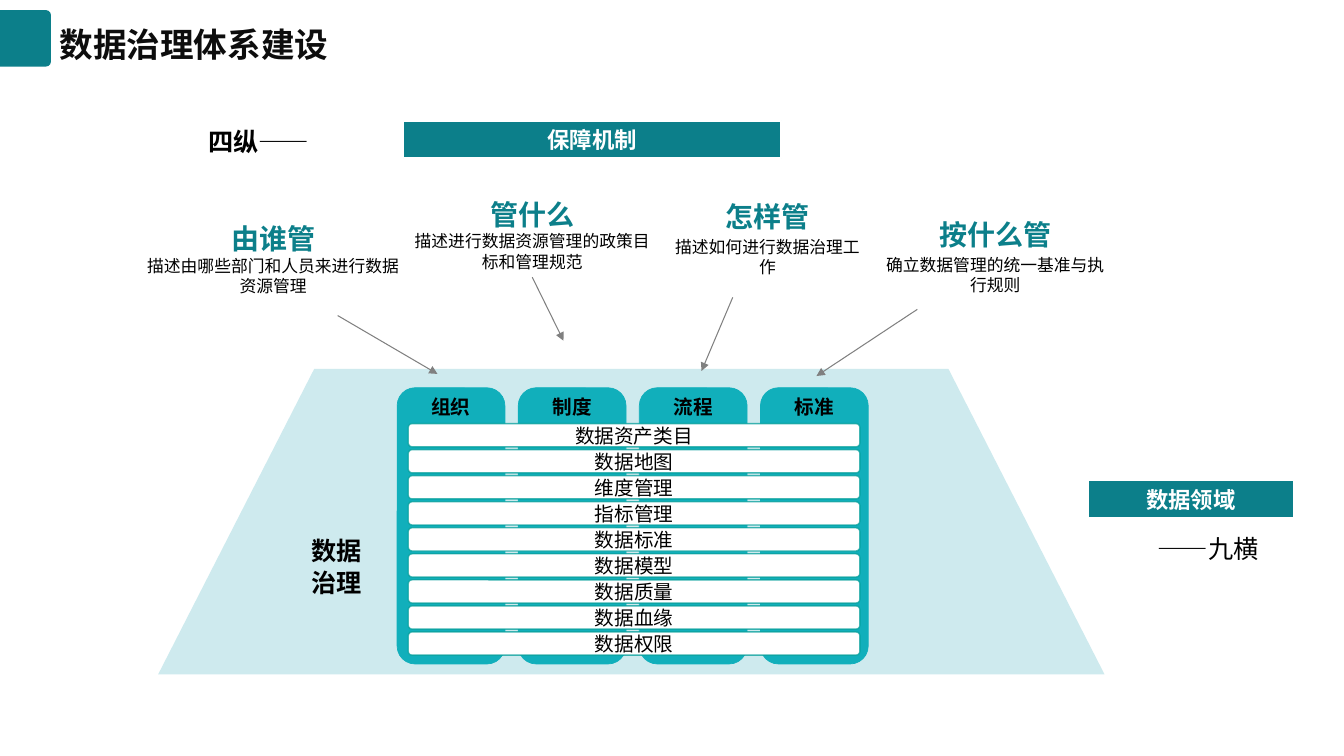
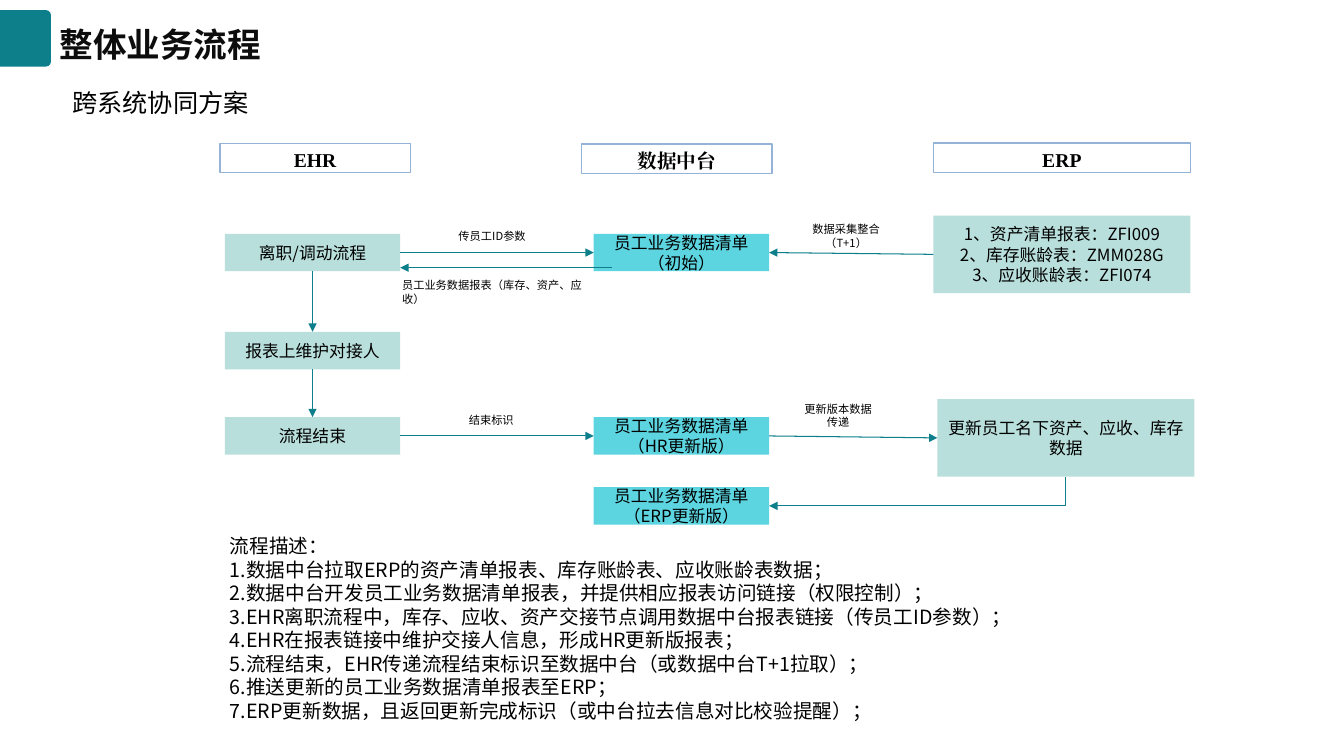
from dataclasses import dataclass
from typing import NamedTuple, Optional

from lxml import etree
from pptx import Presentation
from pptx.dml.color import RGBColor
from pptx.enum import shapes, text
from pptx.oxml.ns import qn
from pptx.util import Pt

TEAL = RGBColor(0x0C, 0x7F, 0x8A)
AQUA = RGBColor(0x11, 0xAF, 0xBB)
CYAN = RGBColor(0x5C, 0xD5, 0xE0)
MINT = RGBColor(0xB8, 0xDF, 0xDB)
PALE = RGBColor(0xCE, 0xEA, 0xEE)
GREEN = RGBColor(0x02, 0x9E, 0x9A)
BLUE = RGBColor(0x95, 0xB3, 0xD7)
GREY = RGBColor(0x80, 0x80, 0x80)
INK = RGBColor(0x0D, 0x0D, 0x0D)
BLACK = RGBColor(0, 0, 0)
WHITE = RGBColor(255, 255, 255)

SANS = "Noto Sans CJK SC"
SERIF = "Times New Roman"
KIND = shapes.MSO_SHAPE
LEFT, MID = text.PP_ALIGN.LEFT, text.PP_ALIGN.CENTER
TOP, CENTRE = text.MSO_ANCHOR.TOP, text.MSO_ANCHOR.MIDDLE
EDGE = (7.2, 3.6, 7.2, 3.6)


class Run(NamedTuple):
    words: str
    size: float
    bold: bool = False
    color: RGBColor = BLACK
    font: str = SANS


class Para(NamedTuple):
    runs: tuple
    align: int = MID
    lead: object = None
    before: float = 0


@dataclass
class Box:
    x: float
    y: float
    w: float
    h: float
    paras: tuple = ()
    kind: Optional[int] = None
    fill: Optional[RGBColor] = None
    line: Optional[RGBColor] = None
    weight: float = 1
    anchor: int = TOP
    edge: tuple = EDGE
    wrap: bool = True
    adj: Optional[float] = None


def add_run(para, run: Run) -> None:
    item = para.add_run()
    item.text = run.words
    font = item.font
    font.size, font.bold, font.name = Pt(run.size), run.bold, run.font
    font.color.rgb = run.color
    etree.SubElement(item.font._element, qn("a:ea"), typeface=run.font)


def write(frame, paras: tuple) -> None:
    for i, part in enumerate(paras):
        para = frame.add_paragraph() if i else frame.paragraphs[0]
        para.alignment = part.align
        para.space_before = Pt(part.before)
        if part.lead:
            para.line_spacing = part.lead
        for run in part.runs:
            add_run(para, run)


def draw(slide, box: Box):
    place = [Pt(v) for v in (box.x, box.y, box.w, box.h)]
    if box.kind is None:
        shape = slide.shapes.add_textbox(*place)
    else:
        shape = slide.shapes.add_shape(box.kind, *place)
        shape.shadow.inherit = False
        if box.adj is not None:
            shape.adjustments[0] = box.adj
        if box.fill is None:
            shape.fill.background()
        else:
            shape.fill.solid()
            shape.fill.fore_color.rgb = box.fill
        if box.line is None:
            shape.line.fill.background()
        else:
            shape.line.color.rgb = box.line
            shape.line.width = Pt(box.weight)
    frame = shape.text_frame
    frame.word_wrap = box.wrap
    frame.vertical_anchor = box.anchor
    (frame.margin_left, frame.margin_top,
     frame.margin_right, frame.margin_bottom) = [Pt(v) for v in box.edge]
    write(frame, box.paras)
    return shape


def link(slide, ends: tuple, color: RGBColor, start=None, stop=None,
         bent: bool = False, tip: str = "tailEnd"):
    """Draw an arrow; start and stop are (shape, side) pairs to join."""
    kind = shapes.MSO_CONNECTOR.ELBOW if bent else shapes.MSO_CONNECTOR.STRAIGHT
    wire = slide.shapes.add_connector(kind, *[Pt(v) for v in ends])
    wire.line.color.rgb = color
    wire.line.width = Pt(0.75)
    if start:
        wire.begin_connect(*start)
    if stop:
        wire.end_connect(*stop)
    props = wire.element.spPr
    if bent:
        props.find(qn("a:prstGeom")).set("prst", "bentConnector2")
    etree.SubElement(props.find(qn("a:ln")), qn("a:" + tip), type="triangle")
    etree.SubElement(props, qn("a:effectLst"))
    return wire


def join(slide, a, i: int, b, j: int) -> None:
    link(slide, (0, 0, 10, 10), TEAL, (a, i), (b, j))


def one(words: str, size: float, bold: bool = False, color: RGBColor = BLACK,
        font: str = SANS, align: int = MID, lead=None) -> tuple:
    return (Para((Run(words, size, bold, color, font),), align, lead),)


def set_master(deck, slide) -> None:
    """Place the title and the corner tab on the master."""
    master = deck.slide_master
    title = master.placeholders.get(shapes.PP_PLACEHOLDER.TITLE)
    title.left, title.top, title.width, title.height = (
        Pt(42.5), Pt(7.2), Pt(836.6), Pt(40.3))
    frame = title.text_frame
    frame.auto_size = text.MSO_AUTO_SIZE.NONE
    frame.vertical_anchor = CENTRE
    frame.margin_left = frame.margin_right = Pt(0)
    frame.margin_top = frame.margin_bottom = Pt(0)
    tab = draw(slide, Box(-2, 9.2, 40.4, 36.4, kind=KIND.ROUND_2_SAME_RECTANGLE,
                          fill=TEAL, adj=0.1))
    tab.rotation = 90
    tab.element.nvSpPr.cNvPr.set("id", "20")
    master.shapes.element.insert(2, tab.element)


def head(slide, words: str) -> None:
    write(slide.shapes.title.text_frame,
          one(words, 24, True, INK, align=LEFT, lead=1.3))


def build_system(slide) -> None:
    head(slide, "数据治理体系建设")
    for words, x, y, w in (("保障机制", 288, 86.4, 270),
                           ("数据领域", 777.6, 343.4, 146.2)):
        draw(slide, Box(x, y, w, 26.6, one(words, 16, True, WHITE),
                        KIND.RECTANGLE, TEAL, WHITE))

    for name, note, x, y, w, gap in (
            ("由谁管", "描述由哪些部门和人员来进行数据资源管理", 95, 154.8, 200.2, 0),
            ("管什么", "描述进行数据资源管理的政策目标和管理规范", 283.7, 137.5, 193, 0),
            ("怎样管", "描述如何进行数据治理工作", 469.4, 139, 157.7, 2.4),
            ("按什么管", "确立数据管理的统一基准与执行规则", 620.6, 151.9, 180.7, 2.4)):
        paras = (Para((Run(name, 20, True, TEAL),)),
                 Para((Run(note, 12),), before=gap))
        draw(slide, Box(x, y, w, 62, paras))

    draw(slide, Box(113, 263.5, 676, 218.2, kind=KIND.TRAPEZOID, fill=PALE,
                    adj=0.511))
    for i, name in enumerate(("组织", "制度", "流程", "标准")):
        draw(slide, Box(283.7 + 86.5 * i, 277, 77, 197.3,
                        one(name, 14, True, lead=Pt(15)),
                        KIND.ROUNDED_RECTANGLE, AQUA, AQUA, 0.5,
                        edge=(3.6, 2.9, 3.6, 3.6)))
    for i, name in enumerate(("数据资产类目", "数据地图", "维度管理", "指标管理",
                              "数据标准", "数据模型", "数据质量", "数据血缘",
                              "数据权限")):
        bar = draw(slide, Box(291.6, 302.6 + 18.6 * i, 322.6, 16.6, one(name, 14),
                              KIND.ROUNDED_RECTANGLE, WHITE, GREEN,
                              anchor=CENTRE, wrap=False))
        tint = bar.element.spPr.find(qn("a:ln")).find(".//" + qn("a:srgbClr"))
        etree.SubElement(tint, qn("a:alpha"), val="75000")

    draw(slide, Box(215.3, 390.2, 49.7, 28.1, one("数据治理", 18, True, lead=1.06),
                    anchor=CENTRE, edge=(5.8, 0, 5.8, 0)))
    for ends in ((241.2, 225.4, 312.5, 267.1), (380.2, 198, 402.5, 243.4),
                 (523.4, 212.4, 501.1, 265), (655.2, 221, 583.2, 268.6)):
        link(slide, ends, GREY)
    draw(slide, Box(141.8, 86.4, 135.4, 28.8,
                    (Para((Run("四纵", 18, True), Run("——", 18)), LEFT),)))
    draw(slide, Box(820, 377.3, 103.7, 28.8, one("——九横", 18, align=LEFT)))


def build_flow(slide) -> None:
    head(slide, "整体业务流程")
    draw(slide, Box(44.6, 59, 174.2, 28.8, one("跨系统协同方案", 18, align=LEFT)))
    for name, x, y, w in (("EHR", 157, 102.4, 136.1), ("数据中台", 415.4, 102.8, 136.1),
                          ("ERP", 666.7, 102.2, 183.6)):
        draw(slide, Box(x, y, w, 21, one(name, 14, True, font=SERIF),
                        KIND.RECTANGLE, line=BLUE))

    def node(x: float, y: float, fill: RGBColor, *rows: str,
             w: float = 125.3, h: float = 26.8):
        paras = tuple(Para((Run(row, 12),)) for row in rows)
        return draw(slide, Box(x, y, w, h, paras, KIND.RECTANGLE, fill,
                               anchor=CENTRE))

    near, core = 160.6, 424.1
    ask = node(near, 167, MINT, "离职/调动流程")
    keep = node(near, 237, MINT, "报表上维护对接人")
    done = node(near, 298, MINT, "流程结束")
    first = node(core, 167, CYAN, "员工业务数据清单（初始）")
    staff = node(core, 298, CYAN, "员工业务数据清单（HR更新版）")
    final = node(core, 348, CYAN, "员工业务数据清单（ERP更新版）")
    source = node(666.7, 154, MINT, "1、资产清单报表：ZFI009", "2、库存账龄表：ZMM028G",
                  "3、应收账龄表：ZFI074", w=183.6, h=55.4)
    update = node(669.6, 285.1, MINT, "更新员工名下资产、应收、库存数据",
                  w=183.6, h=55.4)

    for a, i, b, j in ((ask, 3, first, 1), (source, 1, first, 3),
                       (ask, 2, keep, 0), (keep, 2, done, 0),
                       (done, 3, staff, 1), (staff, 3, update, 1)):
        join(slide, a, i, b, j)
    link(slide, (437, 191.2, 285.9, 191.2), TEAL)
    link(slide, (549.4, 361.4, 761.4, 340.5), TEAL, (final, 3), (update, 2),
         bent=True, tip="headEnd")

    for words, x, y, w, h, align in (
            ("传员工ID参数", 320.4, 160.6, 68.4, 16.6, LEFT),
            ("员工业务数据报表（库存、资产、应收）", 280.1, 195.4, 150.5, 16.6, LEFT),
            ("结束标识", 318.2, 291.6, 65.5, 16.6, MID),
            ("数据采集整合（T+1）", 570.2, 155.5, 68.4, 26.6, MID),
            ("更新版本数据传递", 564.5, 283.7, 68.4, 26.6, MID)):
        draw(slide, Box(x, y, w, h, one(words, 8, align=align)))

    body = slide.placeholders[1]
    body.left, body.top, body.width, body.height = (
        Pt(157), Pt(374.4), Pt(703.4), Pt(147.6))
    frame = body.text_frame
    frame.auto_size = text.MSO_AUTO_SIZE.NONE
    rows = ("流程描述：",
            "1.数据中台拉取ERP的资产清单报表、库存账龄表、应收账龄表数据；",
            "2.数据中台开发员工业务数据清单报表，并提供相应报表访问链接（权限控制）；",
            "3.EHR离职流程中，库存、应收、资产交接节点调用数据中台报表链接（传员工ID参数）；",
            "4.EHR在报表链接中维护交接人信息，形成HR更新版报表；",
            "5.流程结束，EHR传递流程结束标识至数据中台（或数据中台T+1拉取）；",
            "6.推送更新的员工业务数据清单报表至ERP；",
            "7.ERP更新数据，且返回更新完成标识（或中台拉去信息对比校验提醒）；")
    write(frame, tuple(Para((Run(row, 14),), LEFT, 1.0 if i else 1.2)
                       for i, row in enumerate(rows)))
    for para in frame.paragraphs:
        props = para._p.get_or_add_pPr()
        props.set("marL", "0")
        props.set("indent", "0")
        etree.SubElement(props, qn("a:buNone"))


def main() -> None:
    deck = Presentation()
    deck.slide_width, deck.slide_height = Pt(960), Pt(540)
    system = deck.slides.add_slide(deck.slide_layouts[5])
    set_master(deck, system)
    build_system(system)
    build_flow(deck.slides.add_slide(deck.slide_layouts[1]))
    deck.save("out.pptx")


if __name__ == "__main__":
    main()
